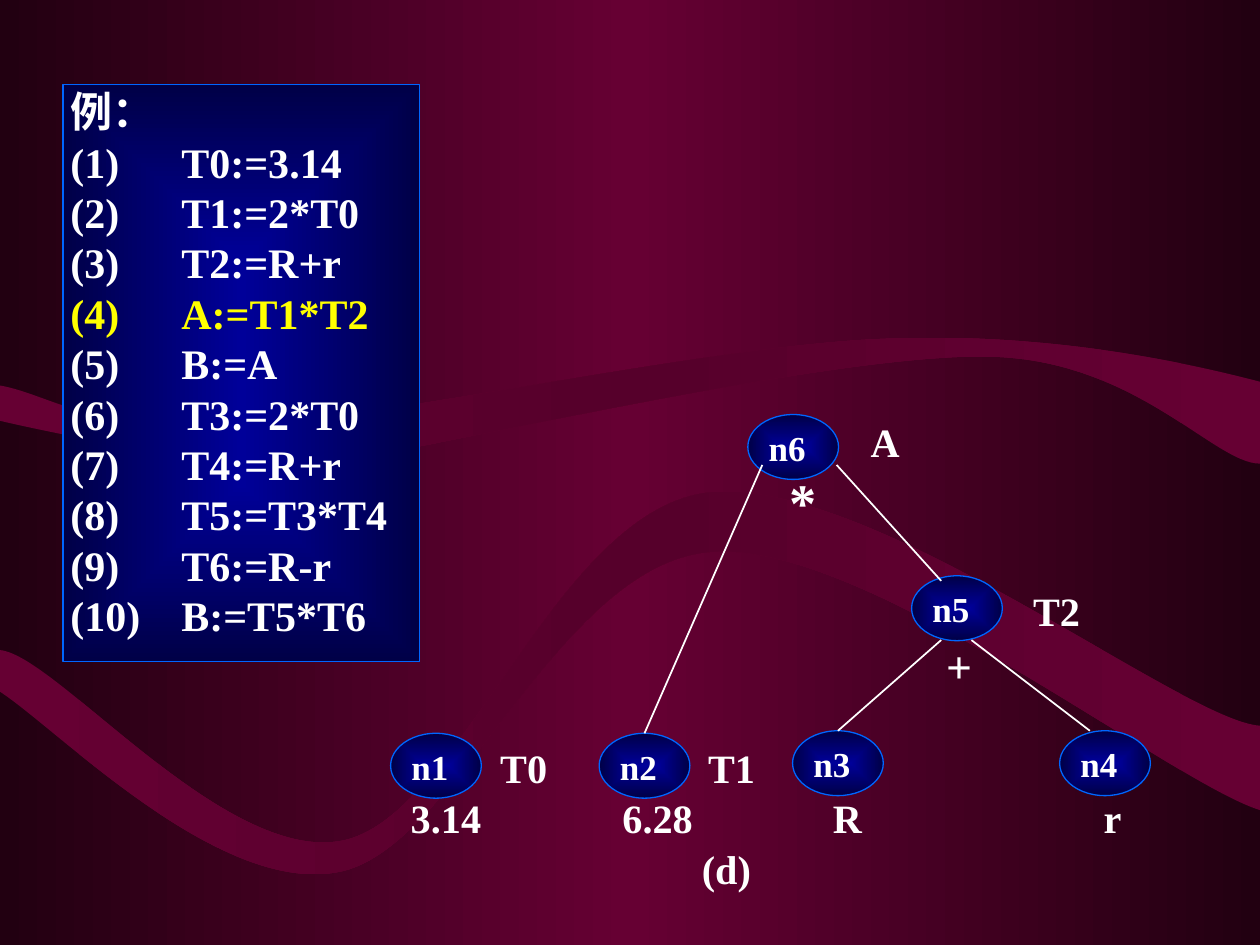
from dataclasses import dataclass

from lxml import etree
from pptx import Presentation
from pptx import util as u
from pptx.dml.color import RGBColor
from pptx.enum import shapes, text
from pptx.oxml.ns import qn

COLORS = {"edge": "220011", "wine": "660033", "fold": "56002B", "blue": "000099",
          "navy": "000047", "outline": "0066FF", "white": "FFFFFF", "mark": "FFFF00"}
FONT = "Times New Roman"
COLS, ROWS = 100, 75
WIDTH, HEIGHT = u.Inches(10), u.Inches(7.5)


@dataclass
class Box:
    """A region of the slide, in grid columns and rows."""
    left: float
    top: float
    width: float
    height: float

    def point(self, col, row):
        return (u.Emu(round((self.left + col) * WIDTH / COLS)),
                u.Emu(round((self.top + row) * HEIGHT / ROWS)))

    def rect(self, col, row, width, height):
        return (*self.point(col, row), u.Emu(round(width * WIDTH / COLS)),
                u.Emu(round(height * HEIGHT / ROWS)))


def rgb(name):
    return RGBColor.from_string(COLORS[name])


def paint_gradient(fill, element, names, centred=False):
    """Spread the named colours evenly, sideways or out from the centre."""
    fill.gradient()
    grad = next(element.iter(qn("a:gradFill")))
    for child in list(grad):
        grad.remove(child)
    stops = etree.SubElement(grad, qn("a:gsLst"))
    for i, name in enumerate(names):
        stop = etree.SubElement(stops, qn("a:gs"), pos=str(100000 * i // (len(names) - 1)))
        etree.SubElement(stop, qn("a:srgbClr"), val=COLORS[name])
    if centred:
        shade = etree.SubElement(grad, qn("a:path"), {"path": "rect"})
        etree.SubElement(shade, qn("a:fillToRect"), dict.fromkeys("ltrb", "50000"))
    else:
        etree.SubElement(grad, qn("a:lin"), ang="0", scaled="0")


def add_blue_shape(s, kind, rect):
    sp = s.shapes.add_shape(kind, *rect)
    sp.shadow.inherit = False
    paint_gradient(sp.fill, sp.element, ["blue", "navy"], centred=True)
    sp.line.color.rgb = rgb("outline")
    sp.line.width = u.Pt(0.75)
    return sp


def set_frame(tf, left=0, top=0, right=0, bottom=0, wrap=True):
    tf.margin_left, tf.margin_top = u.Inches(left), u.Inches(top)
    tf.margin_right, tf.margin_bottom = u.Inches(right), u.Inches(bottom)
    tf.word_wrap = wrap
    tf.auto_size = text.MSO_AUTO_SIZE.NONE
    tf.vertical_anchor = text.MSO_ANCHOR.TOP


def add_run(p, words, size, color="white"):
    p.alignment = text.PP_ALIGN.LEFT
    r = p.add_run()
    r.text = words
    r.font.size, r.font.bold, r.font.name = u.Pt(size), True, FONT
    r.font.color.rgb = rgb(color)


def add_ribbon(s, box, lower, upper):
    """Fill the band between two chains of curves, the second running back."""
    points = [box.point(*q) for q in lower + upper]
    builder = s.shapes.build_freeform(*points[0])
    builder.add_line_segments(points[1:], close=True)
    sp = builder.convert_to_shape()
    # Join every three points of a chain into one Bezier curve
    outline = next(sp.element.iter(qn("a:path")))
    lines = outline.findall(qn("a:lnTo"))
    for chain in (lines[:len(lower) - 1], lines[len(lower):]):
        for i in range(0, len(chain), 3):
            curve = etree.Element(qn("a:cubicBezTo"))
            chain[i].addprevious(curve)
            for line in chain[i:i + 3]:
                curve.append(line[0])
                outline.remove(line)
    sp.shadow.inherit = False
    sp.line.fill.background()
    paint_gradient(sp.fill, sp.element, ["wine", "fold", "wine"])


def add_background(s, box):
    paint_gradient(s.background.fill, s.element, ["edge", "wine", "edge"])
    add_ribbon(s, box,
               [(0, 30.6), (0, 33.4)][1:] +
               [(3.7, 34.3), (17.5, 37), (22.2, 37.5), (26.9, 38), (19, 37.9),
                (28.2, 36.4), (37.5, 34.8), (66, 28.2), (78, 28.3), (90, 28.3),
                (96.3, 36.8), (100, 36.8)],
               [(100, 30.3), (95, 29), (83.6, 26.3), (70.1, 26.9), (56.6, 27.4),
                (30.7, 33.2), (19, 33.8), (7.3, 34.4), (4, 31.3), (0, 30.6)])
    add_ribbon(s, box,
               [(0, 54.9), (4.5, 57.8), (17.4, 71.1), (26.9, 69.2), (36.3, 67.4),
                (44.3, 44.6), (56.5, 43.8), (68.7, 42.9), (92.7, 62), (100, 64.3)],
               [(100, 57.6), (93.8, 57.2), (69.1, 37.7), (56.2, 39.1), (44.1, 40.6),
                (36.7, 64.6), (27.3, 66.7), (17.9, 68.7), (4.5, 52), (0, 51.6)])


def add_code_panel(s, box, heading, statements, marked):
    sp = add_blue_shape(s, shapes.MSO_SHAPE.RECTANGLE, box.rect(0, 0, box.width, box.height))
    tf = sp.text_frame
    set_frame(tf, 0.06, 0.01, 0.06, 0.01)
    lines = [heading] + [f"({n})\t{code}" for n, code in enumerate(statements, 1)]
    for i, line in enumerate(lines):
        p = tf.paragraphs[0] if i == 0 else tf.add_paragraph()
        p.line_spacing = u.Pt(28.8)
        tabs = etree.SubElement(p._p.get_or_add_pPr(), qn("a:tabLst"))
        etree.SubElement(tabs, qn("a:tab"), pos=str(u.Inches(0.88)), algn="l")
        add_run(p, line, 24, "mark" if i == marked else "white")


def add_node(s, box, name, col, row):
    sp = add_blue_shape(s, shapes.MSO_SHAPE.OVAL, box.rect(col, row, 7.2, 5.15))
    set_frame(sp.text_frame, left=0.06, top=0.02)
    add_run(sp.text_frame.paragraphs[0], name, 20)
    return sp


def add_label(s, box, words, col, row, size=23):
    tf = s.shapes.add_textbox(*box.rect(col, row, 6, size / 6)).text_frame
    set_frame(tf, wrap=False)
    add_run(tf.paragraphs[0], words, size)


def add_edge(s, box, start, end, child=None):
    line = s.shapes.add_connector(shapes.MSO_CONNECTOR.STRAIGHT,
                                  *box.point(*start), *box.point(*end))
    line.line.color.rgb = rgb("white")
    line.line.width = u.Pt(1)
    etree.SubElement(line.element.spPr, qn("a:effectLst"))
    if child is not None:
        line.end_connect(child, 0)


def add_dag(s, box):
    # Labels: operators, attached names, leaf values and caption
    for words, col, row in [("A", 38.1, 0.2), ("T2", 51, 13.6), ("T0", 8.7, 26.1),
                            ("T1", 25.2, 26.1), ("3.14", 1.6, 30.1), ("6.28", 18.4, 30.1),
                            ("R", 35.1, 30.1), ("r", 56.6, 30.1), ("(d)", 24.7, 34.1)]:
        add_label(s, box, words, col, row)
    add_label(s, box, "*", 31.7, 4.3, 31)
    add_label(s, box, "+", 44.1, 17.7, 26)
    # Nodes
    places = {"n1": (0, 25.3), "n2": (16.55, 25.3), "n3": (31.9, 25.1),
              "n4": (53.1, 25.1), "n5": (41.35, 12.8), "n6": (28.35, 0)}
    nodes = {name: add_node(s, box, name, *at) for name, at in places.items()}
    # Edges from parent to child
    add_edge(s, box, (43.7, 17.9), (35.4, 25.1), nodes["n3"])
    add_edge(s, box, (46.1, 17.9), (55.5, 25.1))
    add_edge(s, box, (35.4, 4), (43.7, 13.2))
    add_edge(s, box, (29.5, 4), (20.1, 25.5), nodes["n2"])


def main():
    prs = Presentation()
    prs.slide_width, prs.slide_height = WIDTH, HEIGHT
    s = prs.slides.add_slide(prs.slide_layouts[6])
    add_background(s, Box(0, 0, COLS, ROWS))
    add_dag(s, Box(31, 32.9, 60.3, 38))
    add_code_panel(s, Box(5, 6.7, 28.3, 45.8), "例：",
                   ["T0:=3.14", "T1:=2*T0", "T2:=R+r", "A:=T1*T2", "B:=A", "T3:=2*T0",
                    "T4:=R+r", "T5:=T3*T4", "T6:=R-r", "B:=T5*T6"], marked=4)
    prs.save("out.pptx")


if __name__ == "__main__":
    main()
